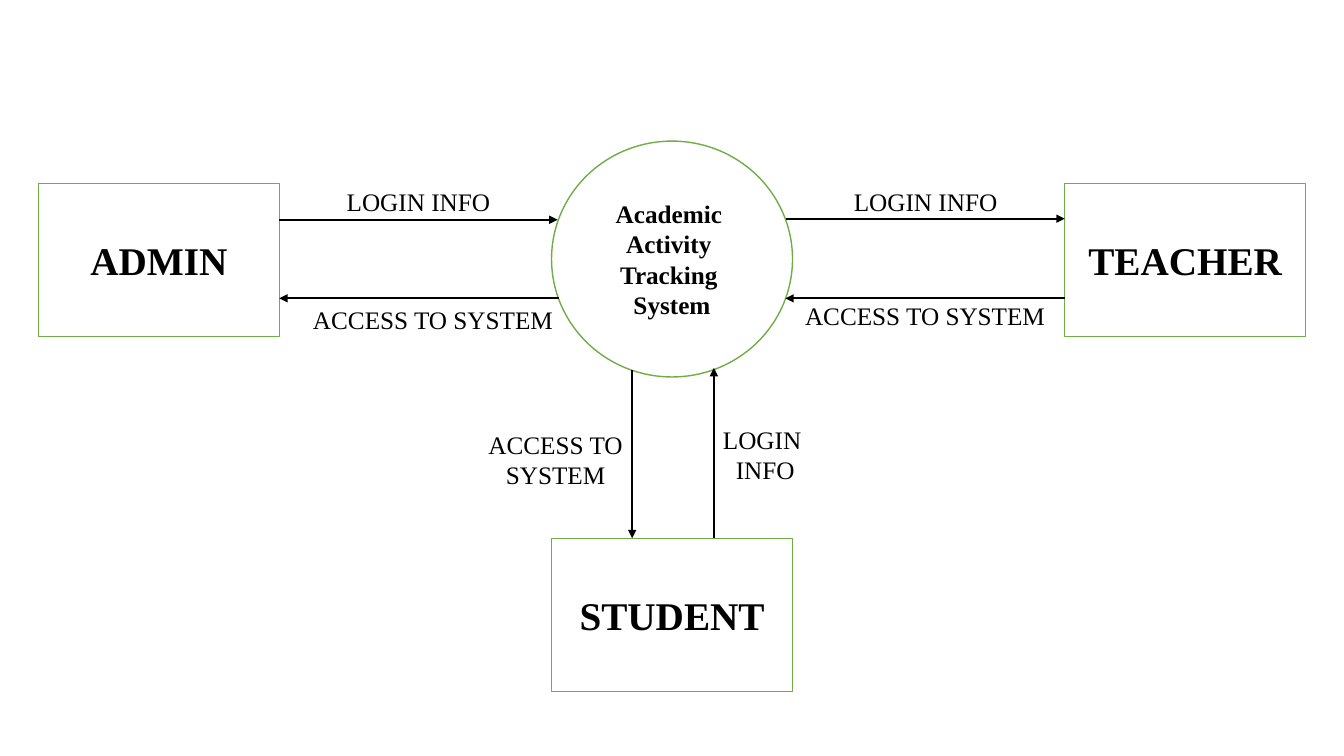
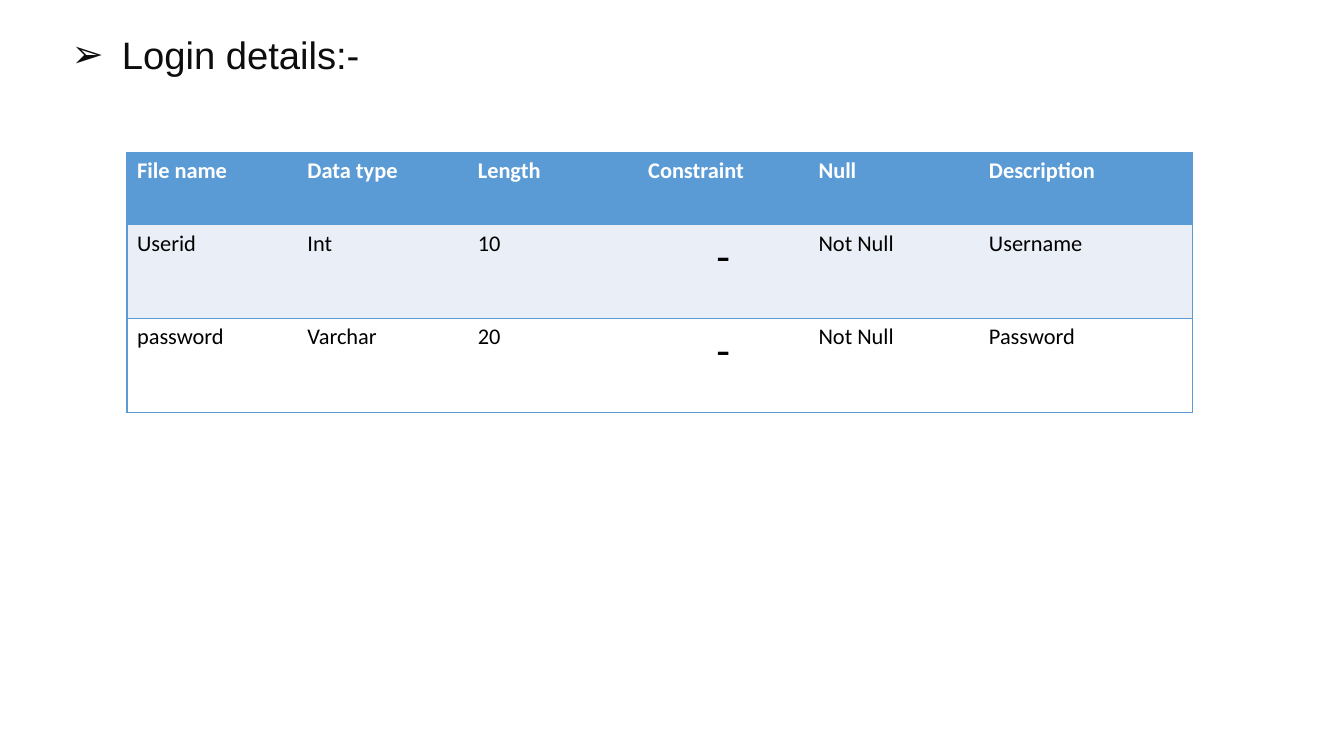
"""Build a system context diagram and a login table as two slides."""
import lxml.etree
import pptx
import pptx.dml.color
import pptx.enum.shapes
import pptx.enum.text
import pptx.oxml.ns
import pptx.util

Inches, Pt, qn = pptx.util.Inches, pptx.util.Pt, pptx.oxml.ns.qn
SHAPES = pptx.enum.shapes.MSO_SHAPE
ALIGN, ANCHOR, AUTO = (pptx.enum.text.PP_ALIGN, pptx.enum.text.MSO_ANCHOR,
                       pptx.enum.text.MSO_AUTO_SIZE)

COLORS = {"white": "FFFFFF", "black": "000000", "green": "70AD47",
          "blue": "5B9BD5", "band": "EAEFF7", "title": "0D0D0D"}
SERIF = "Times New Roman"

BOX_W, BOX_H = 2.39, 1.52
COLUMNS = [0.38 + 5.09 * i for i in range(3)]
ACTOR_TOP, STUDENT_TOP = 1.82, 5.34
SYSTEM = ("Academic \nActivity \nTracking \nSystem", COLUMNS[1], 1.4, 2.34)
ACTORS = [("ADMIN", COLUMNS[0], ACTOR_TOP),
          ("STUDENT", COLUMNS[1], STUDENT_TOP),
          ("TEACHER", COLUMNS[2], ACTOR_TOP)]
ADMIN_EDGE, TEACHER_EDGE = COLUMNS[0] + BOX_W, COLUMNS[2]
FLOWS = [
    ((ADMIN_EDGE, 2.18), (5.53, 2.18), "LOGIN INFO", (3.11, 1.8, 2.08, 0.4)),
    ((7.8, 2.17), (TEACHER_EDGE, 2.17), "LOGIN INFO", (8.14, 1.8, 2.08, 0.4)),
    ((TEACHER_EDGE, 2.96), (7.79, 2.96), "ACCESS TO SYSTEM", (7.79, 2.93, 2.77, 0.4)),
    ((5.54, 2.96), (ADMIN_EDGE, 2.96), "ACCESS TO SYSTEM", (2.91, 2.97, 2.77, 0.4)),
    ((6.27, 3.67), (6.27, STUDENT_TOP), "ACCESS TO\nSYSTEM", (4.47, 4.21, 2.08, 0.71)),
    ((7.08, STUDENT_TOP), (7.08, 3.65), "LOGIN \nINFO", (6.55, 4.16, 2.08, 0.71)),
]

LOGIN_TITLE = "Login details:-"
LOGIN_FIELDS = [
    ["File name", "Data type", "Length", "Constraint", "Null", "Description"],
    ["Userid", "Int", "10", "-", "Not Null", "Username"],
    ["password", "Varchar", "20", "-", "Not Null", "Password"],
]
FIELD_WIDTHS = [1.69] * 5 + [2.12]
ROW_HEIGHTS = [0.72, 0.93, 0.93]
ROW_FILLS = ["blue", "band", "white"]


def rgb(name):
    return pptx.dml.color.RGBColor.from_string(COLORS[name])


def inches(*lengths):
    return [Inches(length) for length in lengths]


def paint(target, color):
    target.fill.solid()
    target.fill.fore_color.rgb = rgb(color)


def write(frame, text, size=18, font=SERIF, color="black", bold=False, align=ALIGN.CENTER):
    frame.text = text
    for paragraph in frame.paragraphs:
        paragraph.alignment = align
        for run in paragraph.runs:
            run.font.size, run.font.name, run.font.bold = Pt(size), font, bold
            run.font.color.rgb = rgb(color)


def add_node(slide, kind, text, left, top, height, size):
    node = slide.shapes.add_shape(kind, *inches(left, top, BOX_W, height))
    node.shadow.inherit = False
    paint(node, "white")
    node.line.color.rgb, node.line.width = rgb("green"), Pt(1)
    node.text_frame.vertical_anchor = ANCHOR.MIDDLE
    write(node.text_frame, text, size=size, bold=True)


def add_flow(slide, start, end, text, place):
    arrow = slide.shapes.add_connector(
        pptx.enum.shapes.MSO_CONNECTOR.STRAIGHT, *inches(*start, *end))
    arrow.line.color.rgb, arrow.line.width = rgb("black"), Pt(1.5)
    lxml.etree.SubElement(arrow.line._get_or_add_ln(), qn("a:tailEnd"), type="triangle")
    lxml.etree.SubElement(arrow._element.spPr, qn("a:effectLst"))
    label = slide.shapes.add_textbox(*inches(*place)).text_frame
    label.word_wrap, label.auto_size = True, AUTO.SHAPE_TO_FIT_TEXT
    write(label, text)


def add_bullet_title(slide, text):
    title = slide.shapes.title
    title.left, title.top, title.width, title.height = inches(0.61, 0.35, 11.5, 0.49)
    frame = title.text_frame
    frame.word_wrap, frame.auto_size, frame.vertical_anchor = True, AUTO.NONE, ANCHOR.TOP
    write(frame, text, size=27.3, font="Arial", color="title", align=ALIGN.LEFT)
    paragraph = frame.paragraphs[0]
    paragraph.line_spacing = 0.8
    properties = paragraph._p.get_or_add_pPr()
    properties.set("marL", str(Inches(0.5)))
    properties.set("indent", str(-Inches(0.5)))
    lxml.etree.SubElement(properties, qn("a:buFont"), typeface="Arial")
    lxml.etree.SubElement(properties, qn("a:buChar"), char="➢")


def add_borders(cell, visible):
    properties = cell._tc.get_or_add_tcPr()
    for side in "LRTB":
        line = lxml.etree.SubElement(properties, qn(f"a:ln{side}"), w=str(Pt(1)))
        if side in visible:
            fill = lxml.etree.SubElement(line, qn("a:solidFill"))
            lxml.etree.SubElement(fill, qn("a:srgbClr"), val=COLORS["blue"])
        else:
            lxml.etree.SubElement(line, qn("a:noFill"))


def add_field_table(slide):
    table = slide.shapes.add_table(
        len(LOGIN_FIELDS), len(FIELD_WIDTHS),
        *inches(1.26, 1.51, sum(FIELD_WIDTHS), sum(ROW_HEIGHTS))).table
    for column, width in zip(table.columns, FIELD_WIDTHS):
        column.width = Inches(width)
    last = len(FIELD_WIDTHS) - 1
    for r, (fields, height, fill) in enumerate(zip(LOGIN_FIELDS, ROW_HEIGHTS, ROW_FILLS)):
        table.rows[r].height = Inches(height)
        header = r == 0
        for c, text in enumerate(fields):
            cell = table.cell(r, c)
            dash = text == "-"
            write(cell.text_frame, text, size=32 if dash else 16, font="Calibri",
                  color="white" if header else "black", bold=header,
                  align=ALIGN.CENTER if dash else ALIGN.LEFT)
            add_borders(cell, "TB" + {0: "L", last: "R"}.get(c, ""))
            paint(cell, fill)


def main():
    deck = pptx.Presentation()
    deck.slide_width, deck.slide_height = inches(13.33, 7.5)
    title_only, blank = deck.slide_layouts[5], deck.slide_layouts[6]

    context = deck.slides.add_slide(blank)
    add_node(context, SHAPES.OVAL, *SYSTEM, 18)
    for actor in ACTORS:
        add_node(context, SHAPES.RECTANGLE, *actor, BOX_H, 28)
    for flow in FLOWS:
        add_flow(context, *flow)

    login = deck.slides.add_slide(title_only)
    add_bullet_title(login, LOGIN_TITLE)
    add_field_table(login)
    deck.save("out.pptx")


if __name__ == "__main__":
    main()
